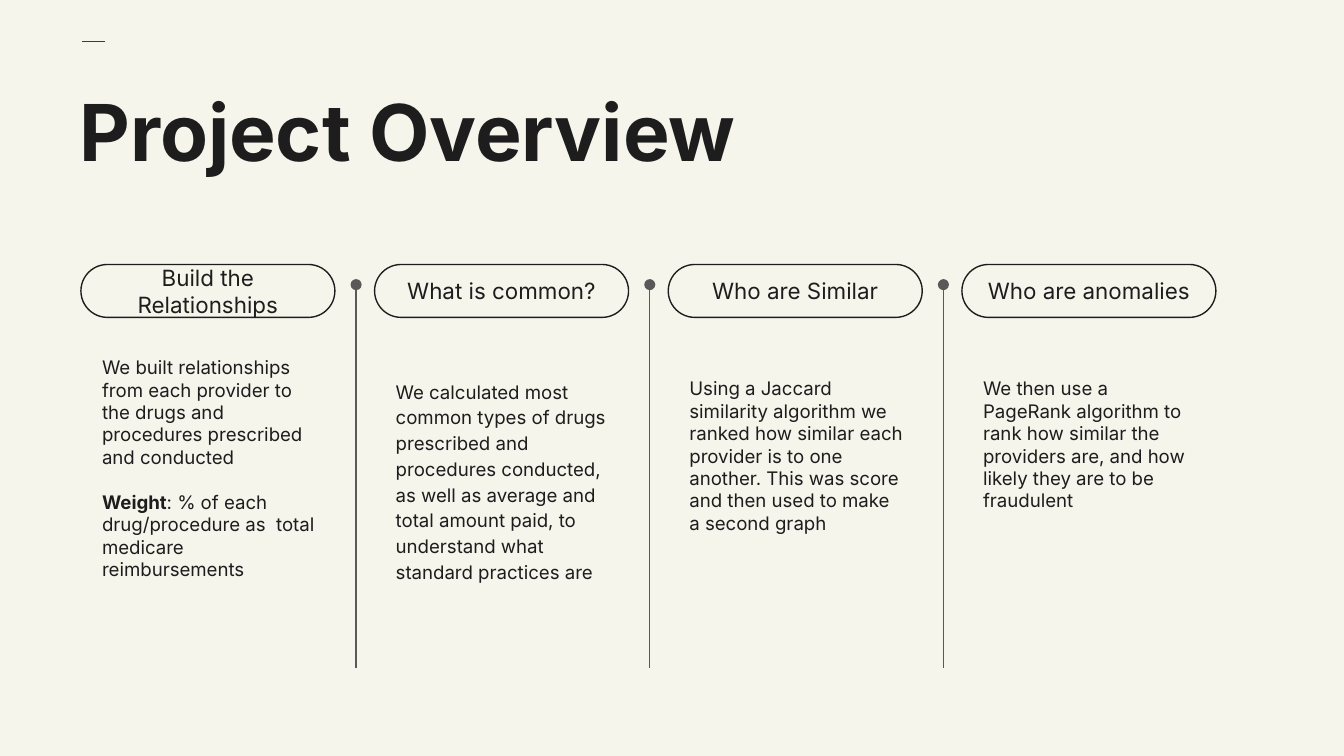
from lxml.etree import SubElement
from pptx import Presentation
from pptx.dml.color import RGBColor
from pptx.enum.shapes import MSO_CONNECTOR, MSO_SHAPE
from pptx.enum.text import MSO_ANCHOR, PP_ALIGN
from pptx.oxml.ns import qn
from pptx.util import Cm, Pt

CREAM = RGBColor(0xF6, 0xF5, 0xEC)
INK = RGBColor(0x1D, 0x1D, 0x1D)
BLUE = RGBColor(0x1A, 0x36, 0xB4)
GREY = RGBColor(0x59, 0x59, 0x59)

TITLE = {"size": Pt(42), "bold": True}
HEADING = {"size": Pt(12), "bold": False}
BODY = {"size": Pt(10), "bold": False}
STRONG = {"size": Pt(10), "bold": True}

COLUMN_LEFT, COLUMN_TOP, COLUMN_PITCH = 1.53, 5, 5.55

COLUMNS = [
    ("Build the Relationships", 1.48, 1.0, [
        [("We built relationships from each provider to the drugs and "
          "procedures prescribed and conducted", BODY)],
        [("Weight", STRONG),
         (": % of each drug/procedure as  total medicare reimbursements", BODY)],
    ]),
    ("What is common?", 1.88, 1.15, [
        [("We calculated most common types of drugs prescribed and procedures "
          "conducted, as well as average and total amount paid, to understand "
          "what standard practices are", BODY)],
    ]),
    ("Who are Similar", 1.88, 1.0, [
        [("Using a Jaccard similarity algorithm we ranked how similar each "
          "provider is to one another. This was score and then used to make "
          "a second graph", BODY)],
    ]),
    ("Who are anomalies", 1.88, 1.0, [
        [("We then use a PageRank algorithm to rank how similar the providers "
          "are, and how likely they are to be fraudulent", BODY)],
    ]),
]


def write_text(shape, paragraphs, anchor=MSO_ANCHOR.TOP,
               alignment=PP_ALIGN.LEFT, line_spacing=1.0):
    """Fill a shape with paragraphs made of (text, format) runs."""
    frame = shape.text_frame
    layout = {"word_wrap": True, "vertical_anchor": anchor}
    for side in ("left", "right", "top", "bottom"):
        layout[f"margin_{side}"] = Cm(0.25)
    for name, value in layout.items():
        setattr(frame, name, value)
    for index, runs in enumerate(paragraphs):
        paragraph = frame.add_paragraph() if index else frame.paragraphs[0]
        spacing = {"alignment": alignment, "line_spacing": line_spacing,
                   "space_before": Pt(12 if index else 0)}
        for name, value in spacing.items():
            setattr(paragraph, name, value)
        for text, text_format in runs:
            run = paragraph.add_run()
            run.text = text
            run.font.color.rgb = INK
            for name, value in {"name": "Inter", **text_format}.items():
                setattr(run.font, name, value)


def add_line(slide, left, top, width, height, color, head=None):
    """Draw a thin line across a box, with an optional head at its start."""
    line = slide.shapes.add_connector(
        MSO_CONNECTOR.STRAIGHT, Cm(left), Cm(top),
        Cm(left + width), Cm(top + height))
    line.line.color.rgb = color
    line.line.width = Pt(0.75)
    properties = line._element.spPr
    if head:
        SubElement(properties.find(qn("a:ln")), qn("a:headEnd"), type=head)
    SubElement(properties, qn("a:effectLst"))


def add_header(slide, left, top, width, height):
    """Place the accent dash and the title in the given box."""
    add_line(slide, left + 0.3, top, 0.43, 0, BLUE)
    title = slide.shapes.add_textbox(
        Cm(left), Cm(top + 0.88), Cm(width), Cm(height - 0.88))
    write_text(title, [[("Project Overview", TITLE)]], line_spacing=0.8)


def add_column(slide, left, top, heading, body_offset, line_spacing, paragraphs):
    """Place a heading pill with its body text below it."""
    pill = slide.shapes.add_shape(
        MSO_SHAPE.ROUNDED_RECTANGLE, Cm(left), Cm(top), Cm(4.8), Cm(1))
    pill.adjustments[0] = 0.5
    pill.shadow.inherit = False
    pill.fill.background()
    pill.line.color.rgb = INK
    pill.line.width = Pt(0.75)
    write_text(pill, [[(heading, HEADING)]], MSO_ANCHOR.MIDDLE, PP_ALIGN.CENTER)
    body = slide.shapes.add_textbox(
        Cm(left + 0.15), Cm(top + body_offset), Cm(4.55), Cm(4.78))
    write_text(body, paragraphs, line_spacing=line_spacing)


def main():
    """Build and save the project overview slide."""
    presentation = Presentation()
    presentation.slide_width = Cm(25.4)
    presentation.slide_height = Cm(14.29)
    slide = presentation.slides.add_slide(presentation.slide_layouts[6])
    slide.background.fill.solid()
    slide.background.fill.fore_color.rgb = CREAM
    add_header(slide, 1.25, 0.78, 19.08, 3.77)
    for index, column in enumerate(COLUMNS):
        left = COLUMN_LEFT + index * COLUMN_PITCH
        add_column(slide, left, COLUMN_TOP, *column)
        if index < len(COLUMNS) - 1:
            add_line(slide, left + 5.2, COLUMN_TOP + 0.38, 0, 7.24, GREY, "oval")
    presentation.save("out.pptx")


if __name__ == "__main__":
    main()
